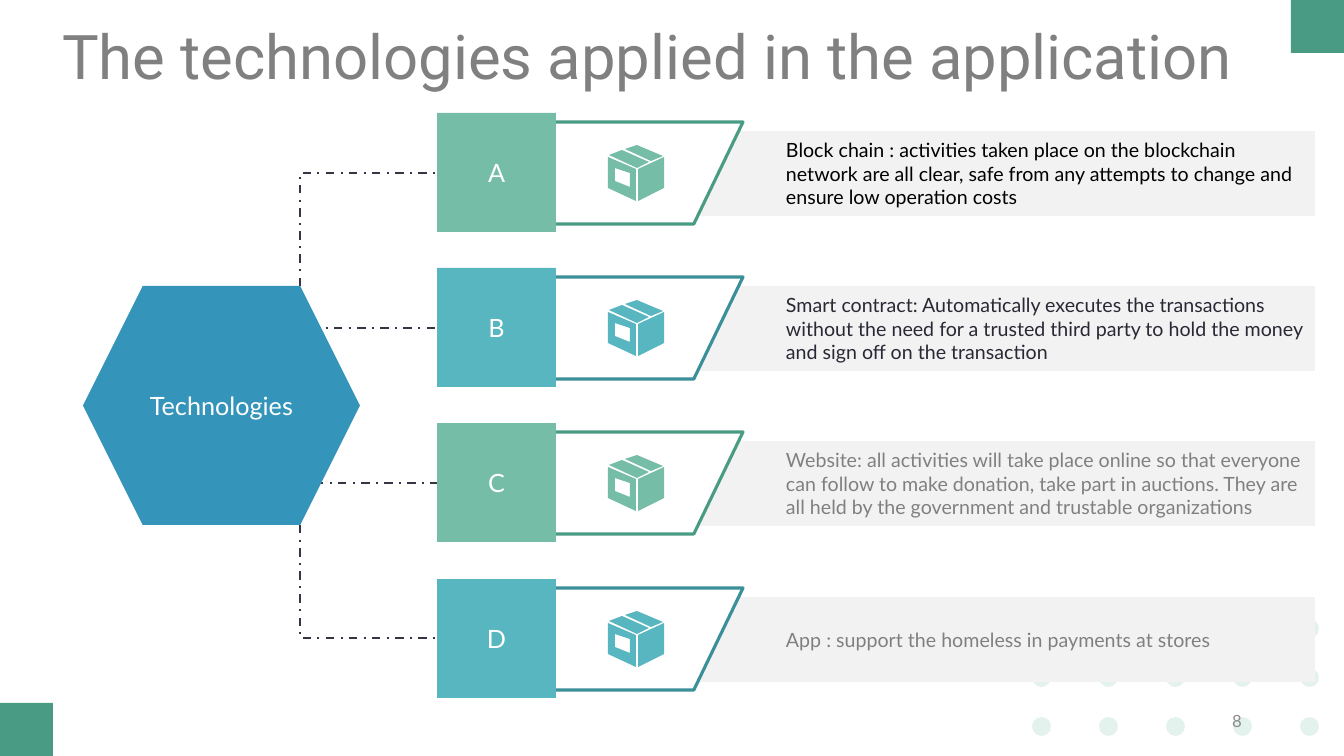
from lxml import etree
from pptx import Presentation
from pptx.dml.color import RGBColor
from pptx.enum.dml import MSO_LINE
from pptx.enum.shapes import MSO_CONNECTOR, MSO_SHAPE
from pptx.enum.text import MSO_ANCHOR, PP_ALIGN
from pptx.oxml.ns import qn
from pptx.util import Pt

SCALE = 914400 / 100.8
RECTANGLE = MSO_SHAPE.RECTANGLE
ELLIPSE = MSO_SHAPE.OVAL
HEXAGON = MSO_SHAPE.HEXAGON
BANNER = MSO_SHAPE.FLOWCHART_PROCESS
SLANTED = MSO_SHAPE.FLOWCHART_DATA
ELBOW = MSO_CONNECTOR.ELBOW
DASH_DOT = MSO_LINE.DASH_DOT
MIDDLE = MSO_ANCHOR.MIDDLE
LEFT, CENTER, RIGHT = PP_ALIGN.LEFT, PP_ALIGN.CENTER, PP_ALIGN.RIGHT

COLORS = {
    "white": "FFFFFF", "black": "000000", "gray": "808080", "number": "8C8C8C",
    "ink": "292834", "connector": "373545", "banner": "F2F2F2", "dot": "E3F2ED",
    "hub": "3494BA", "corner": "4A9B83", "green": "75BDA7", "teal": "58B6C0",
    "green_line": "4A9B83", "teal_line": "3A8F98",
}

TECHNOLOGIES = [
    ("A", "green", "black",
     "Block chain : activities taken place on the blockchain network are all clear, "
     "safe from any attempts to change and ensure low operation costs"),
    ("B", "teal", "ink",
     "Smart contract: Automatically executes the transactions without the need for a "
     "trusted third party to hold the money and sign off on the transaction"),
    ("C", "green", "gray",
     "Website: all activities will take place online so that everyone can follow to "
     "make donation, take part in auctions. They are all held by the government and "
     "trustable organizations"),
    ("D", "teal", "gray", "App : support the homeless in payments at stores"),
]

BOX_FACES = [
    [[(608, 44), (608, 75), (636, 88), (636, 56)],
     [(615, 55), (630, 60), (630, 74), (615, 68)]],
    [[(622, 37), (609, 42), (637, 55), (649, 49)]],
    [[(638, 56), (638, 88), (664, 75), (664, 44)]],
    [[(663, 43), (637, 32), (625, 36), (651, 48)]],
]


def px(length):
    return round(length * SCALE)


def rgb(name):
    return RGBColor.from_string(COLORS[name])


def write_text(shape, text, size=18, color="white", font="Lato", align=CENTER,
               inset=10, side_inset=5, spacing=None):
    frame = shape.text_frame
    frame.word_wrap = True
    frame.vertical_anchor = MIDDLE
    frame.margin_left = px(inset)
    frame.margin_right = px(min(inset, 10))
    frame.margin_top = frame.margin_bottom = px(side_inset)
    paragraph = frame.paragraphs[0]
    paragraph.alignment = align
    if spacing:
        paragraph.line_spacing = spacing
    run = paragraph.add_run()
    run.text = text
    run.font.size = Pt(size)
    run.font.name = font
    run.font.color.rgb = rgb(color)


def paint(shape, fill, line=None):
    shape.shadow.inherit = False
    shape.fill.solid()
    shape.fill.fore_color.rgb = rgb(fill)
    if line:
        shape.line.color.rgb = rgb(line)
        shape.line.width = Pt(2.25)
    else:
        shape.line.fill.background()


def add_block(shapes, kind, left, top, width, height, fill, line=None):
    shape = shapes.add_shape(kind, px(left), px(top), px(width), px(height))
    paint(shape, fill, line)
    return shape


def add_title(slide, text):
    title = slide.shapes.title
    title.left, title.top, title.width, title.height = px(15), px(26), px(1266), px(68)
    write_text(title, text, size=44, color="gray", font="Roboto",
               inset=0, side_inset=0, spacing=0.9)


def add_page_number(slide, number):
    box = slide.shapes.add_textbox(px(950), px(701), px(302), px(40))
    write_text(box, number, size=12, color="number", align=RIGHT)


def add_dots(slide):
    group = slide.shapes.add_group_shape()
    for row in range(3):
        for column in range(5):
            if row > 0 or column == 4:
                add_block(group.shapes, ELLIPSE, 1032 + 67 * column, 619 + 49 * row,
                          19, 19, "dot")


def add_elbow(slide, start, end, bend):
    connector = slide.shapes.add_connector(ELBOW, *map(px, start + end))
    connector.line.color.rgb = rgb("connector")
    connector.line.width = Pt(1.5)
    connector.line.dash_style = DASH_DOT
    properties = connector._element.spPr
    etree.SubElement(properties, qn("a:effectLst"))
    adjustments = properties.find(qn("a:prstGeom")).get_or_add_avLst()
    ratio = round((bend - start[0]) / (end[0] - start[0]) * 100000)
    etree.SubElement(adjustments, qn("a:gd"), name="adj1", fmla=f"val {ratio}")


def add_box_icon(slide, top, fill):
    group = slide.shapes.add_group_shape()
    for outlines in BOX_FACES:
        builder = None
        for outline in outlines:
            points = [(x, top + y) for x, y in outline]
            if builder is None:
                builder = group.shapes.build_freeform(*points[0], scale=SCALE)
            else:
                builder.move_to(*points[0])
            builder.add_line_segments(points[1:], close=True)
        paint(builder.convert_to_shape(), fill)


def add_technology(slide, top, letter, accent, text_color, description):
    banner = add_block(slide.shapes, BANNER, 675, top + 18, 640, 85, "banner")
    write_text(banner, description, size=14, color=text_color, align=LEFT, inset=111)
    add_block(slide.shapes, SLANTED, 497, top + 9, 246, 102, "white", accent + "_line")
    square = add_block(slide.shapes, RECTANGLE, 437, top, 119, 119, accent)
    write_text(square, letter)
    add_box_icon(slide, top, accent)


def main():
    presentation = Presentation()
    presentation.slide_width, presentation.slide_height = px(1344), px(756)
    slide = presentation.slides.add_slide(presentation.slide_layouts[5])

    add_title(slide, "The technologies applied in the application")
    add_dots(slide)
    for left, top in ((1291, 0), (0, 703)):
        add_block(slide.shapes, RECTANGLE, left, top, 53, 53, "corner")
    add_page_number(slide, "8")

    add_elbow(slide, (300, 286), (437, 173), bend=300)
    add_elbow(slide, (300, 525), (437, 638), bend=300)
    add_elbow(slide, (439, 483), (437, 328), bend=301)

    hub = add_block(slide.shapes, HEXAGON, 83, 286, 277, 239, "hub")
    write_text(hub, "Technologies")
    for index, technology in enumerate(TECHNOLOGIES):
        add_technology(slide, 113 + 466 * index // 3, *technology)

    presentation.save("out.pptx")


if __name__ == "__main__":
    main()
